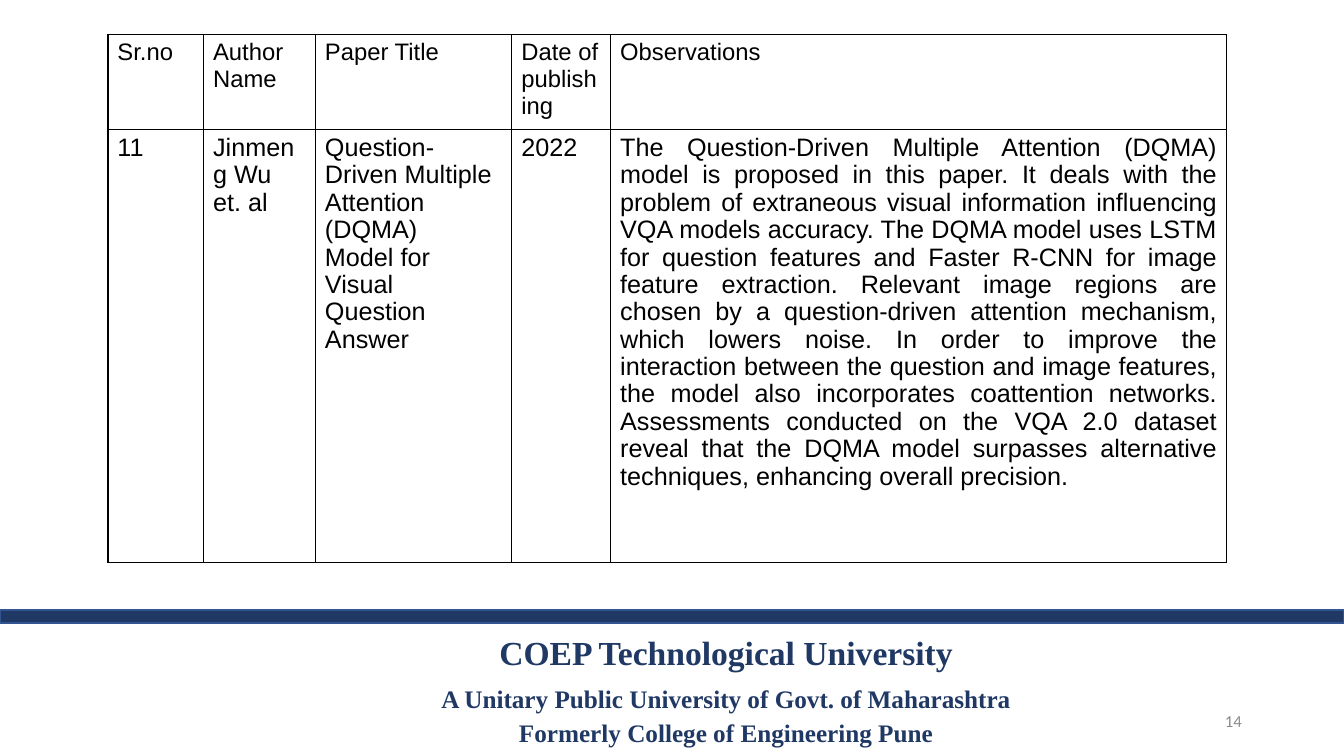
from lxml.etree import SubElement
from pptx import Presentation
from pptx.dml.color import RGBColor
from pptx.enum.shapes import MSO_SHAPE
from pptx.enum.text import MSO_ANCHOR, PP_ALIGN
from pptx.oxml.ns import qn
from pptx.util import Cm, Pt

NAVY = RGBColor(0x20, 0x38, 0x64)
BAR_EDGE = RGBColor(0x32, 0x54, 0x90)
BLACK = RGBColor(0x00, 0x00, 0x00)
GREY = RGBColor(0x8B, 0x8B, 0x8B)

COLUMN_WIDTHS = [2.41, 2.82, 4.95, 2.49, 15.52]
ROW_HEIGHTS = [2.38, 10.9]

# Each cell is a list of paragraphs
HEADINGS = [["Sr.no"], ["Author", "Name"], ["Paper Title"],
            ["Date of", "publishing"], ["Observations"]]
PAPER = [
    ["11"],
    ["Jinmeng Wu et. al"],
    ["Question-Driven Multiple Attention (DQMA)", "Model for", "Visual",
     "Question Answer"],
    ["2022"],
    ["The Question-Driven Multiple Attention (DQMA) model is proposed in this "
     "paper. It deals with the problem of extraneous visual information "
     "influencing VQA models accuracy. The DQMA model uses LSTM for question "
     "features and Faster R-CNN for image feature extraction. Relevant image "
     "regions are chosen by a question-driven attention mechanism, which "
     "lowers noise. In order to improve the interaction between the question "
     "and image features, the model also incorporates coattention networks. "
     "Assessments conducted on the VQA 2.0 dataset reveal that the DQMA model "
     "surpasses alternative techniques, enhancing overall precision."],
]
# Text, size in points, space before in points
UNIVERSITY_LINES = [
    ("COEP Technological University", 24, 0),
    ("A Unitary Public University of Govt. of Maharashtra", 18, 6),
    ("Formerly College of Engineering Pune", 18, 0),
]


def write_paragraphs(text_frame, lines):
    """Fill the frame with one paragraph per line and return them."""
    text_frame.text = "\n".join(lines)
    return text_frame.paragraphs


def style_font(paragraph, name, size, color, bold=False):
    font = paragraph.font
    font.name, font.size, font.bold = name, Pt(size), bold
    font.color.rgb = color


def add_borders(cell, color, width):
    """Draw all four edges of a table cell."""
    properties = cell._tc.get_or_add_tcPr()
    for index, edge in enumerate(("a:lnL", "a:lnR", "a:lnT", "a:lnB")):
        line = properties.makeelement(qn(edge), {"w": str(Pt(width))})
        fill = SubElement(line, qn("a:solidFill"))
        SubElement(fill, qn("a:srgbClr"), {"val": str(color)})
        properties.insert(index, line)


def add_literature_table(slide, left, top):
    """Survey table: a heading row and one paper."""
    rows = [HEADINGS, PAPER]
    frame = slide.shapes.add_table(
        len(rows), len(COLUMN_WIDTHS), left, top,
        Cm(sum(COLUMN_WIDTHS)), Cm(sum(ROW_HEIGHTS)))
    table = frame.table
    table.first_row = table.horz_banding = False
    for column, width in zip(table.columns, COLUMN_WIDTHS):
        column.width = Cm(width)
    for row, height in zip(table.rows, ROW_HEIGHTS):
        row.height = Cm(height)

    for row, contents, size, spacing in zip(table.rows, rows, (17, 18), (1.0, 0.97)):
        for cell, lines in zip(row.cells, contents):
            cell.margin_left = cell.margin_right = Cm(0.24)
            cell.margin_top = cell.margin_bottom = Cm(0.12)
            cell.fill.background()
            add_borders(cell, BLACK, 1)
            for paragraph in write_paragraphs(cell.text_frame, lines):
                style_font(paragraph, "Arial", size, BLACK)
                paragraph.line_spacing = spacing
    observations = table.cell(1, len(COLUMN_WIDTHS) - 1)
    observations.text_frame.paragraphs[0].alignment = PP_ALIGN.JUSTIFY


def add_university_footer(slide, left, top, width):
    """Dark bar with the name of the university below it."""
    group = slide.shapes.add_group_shape()
    bar_height = Cm(0.33)

    # University name
    name_box = group.shapes.add_textbox(
        left + Cm(5.46), top + bar_height, Cm(25.68), Cm(3.05))
    name_box.text_frame.word_wrap = True
    paragraphs = write_paragraphs(
        name_box.text_frame, [text for text, _, _ in UNIVERSITY_LINES])
    for paragraph, (_, size, space) in zip(paragraphs, UNIVERSITY_LINES):
        style_font(paragraph, "Times New Roman", size, NAVY, bold=True)
        paragraph.alignment = PP_ALIGN.CENTER
        paragraph.line_spacing = 1.1
        paragraph.space_before = Pt(space)

    # Bar
    bar = group.shapes.add_shape(MSO_SHAPE.RECTANGLE, left, top, width, bar_height)
    bar.shadow.inherit = False
    bar.fill.solid()
    bar.fill.fore_color.rgb = NAVY
    bar.line.color.rgb = BAR_EDGE
    bar.line.width = Pt(2)


def add_page_number(slide, left, top, width, height, number):
    box = slide.shapes.add_textbox(left, top, width, height)
    box.text_frame.word_wrap = True
    box.text_frame.vertical_anchor = MSO_ANCHOR.MIDDLE
    paragraph = write_paragraphs(box.text_frame, [number])[0]
    paragraph.alignment = PP_ALIGN.RIGHT
    style_font(paragraph, "Calibri", 12, GREY)


def main():
    presentation = Presentation()
    presentation.slide_width = Cm(33.87)
    presentation.slide_height = Cm(19.05)
    slide = presentation.slides.add_slide(presentation.slide_layouts[6])

    add_university_footer(slide, Cm(0), Cm(15.37), presentation.slide_width)
    add_literature_table(slide, Cm(2.72), Cm(0.87))
    add_page_number(slide, Cm(23.93), Cm(17.65), Cm(7.62), Cm(1.02), "14")
    presentation.save("out.pptx")


if __name__ == "__main__":
    main()
